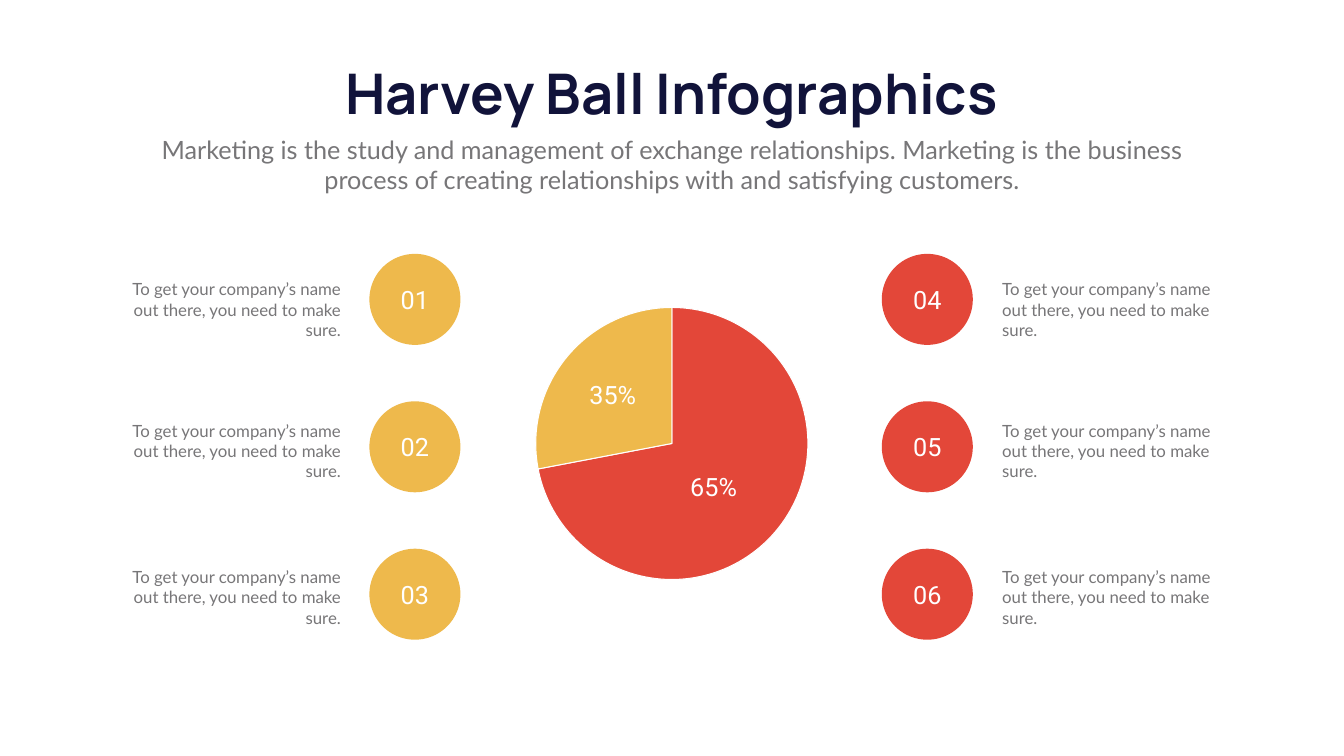
from lxml import etree
from pptx import Presentation
from pptx import util as u
from pptx.chart import data
from pptx.dml import color
from pptx.enum import chart as charts, shapes, text
from pptx.oxml import ns

NAVY, GREY, WHITE = "11133A", "777678", "FFFFFF"
YELLOW, RED = "EEB94C", "E34739"
CAPTION = "To get your company’s name out there, you need to make sure."
LEFT, CENTER, RIGHT = text.PP_ALIGN.LEFT, text.PP_ALIGN.CENTER, text.PP_ALIGN.RIGHT


def rgb(code):
    return color.RGBColor.from_string(code)


class Builder:
    """Holds the slide and draws styled elements; lengths are in points."""

    def __init__(self, slide):
        self.slide = slide

    def place(self, box, left, top, width, height):
        box.left, box.top = u.Pt(left), u.Pt(top)
        box.width, box.height = u.Pt(width), u.Pt(height)

    def set_words(self, box, words, font, size, ink, align=CENTER, bold=False,
                  anchor=text.MSO_ANCHOR.TOP, wrap=True):
        frame = box.text_frame
        frame.word_wrap = wrap
        frame.auto_size = text.MSO_AUTO_SIZE.NONE
        frame.vertical_anchor = anchor
        para = frame.paragraphs[0]
        para.text = words
        para.alignment = align
        para.space_before = u.Pt(0)
        para.font.name, para.font.size = font, u.Pt(size)
        para.font.bold = bold
        para.font.color.rgb = rgb(ink)

    def placeholder(self, index, at, words, **style):
        box = self.slide.placeholders[index]
        self.place(box, *at)
        self.set_words(box, words, **style)

    def label(self, at, words, **style):
        box = self.slide.shapes.add_textbox(*map(u.Pt, at))
        self.set_words(box, words, **style)

    def ball(self, center_x, center_y, size, fill, words):
        at = center_x - size / 2, center_y - size / 2, size, size
        ball = self.slide.shapes.add_shape(shapes.MSO_SHAPE.OVAL, *map(u.Pt, at))
        ball.shadow.inherit = False
        ball.fill.solid()
        ball.fill.fore_color.rgb = rgb(fill)
        ball.line.fill.background()
        self.set_words(ball, words, "Roboto", 36, WHITE, anchor=text.MSO_ANCHOR.MIDDLE)

    def pie(self, at, values, fills):
        source = data.CategoryChartData()
        source.categories = [str(i + 1) for i in range(len(values))]
        source.add_series("Series 1", values)
        chart = self.slide.shapes.add_chart(
            charts.XL_CHART_TYPE.PIE, *map(u.Pt, at), source).chart
        chart.has_title = chart.has_legend = False
        chart.font.name, chart.font.size = "Calibri", u.Pt(10)
        chart.font.color.rgb = rgb(GREY)
        plot = chart.plots[0]
        plot.vary_by_categories = True
        for i, fill in enumerate(fills):
            point = plot.series[0].points[i].format
            point.fill.solid()
            point.fill.fore_color.rgb = rgb(fill)
            point.line.color.rgb = rgb(WHITE)
            point.line.width = u.Pt(1.5)
        # Fixed plot area, centred in the chart frame
        area = chart.element.find(".//" + ns.qn("c:plotArea"))
        for old in area.findall(ns.qn("c:layout")):
            area.remove(old)
        layout = etree.Element(ns.qn("c:layout"))
        manual = etree.SubElement(layout, ns.qn("c:manualLayout"))
        width, height = 0.63, 0.95
        for tag, value in (("layoutTarget", "inner"), ("xMode", "edge"), ("yMode", "edge"),
                           ("x", (1 - width) / 2), ("y", (1 - height) / 2),
                           ("w", width), ("h", height)):
            etree.SubElement(manual, ns.qn("c:" + tag)).set("val", str(value))
        area.insert(0, layout)


def main():
    deck = Presentation()
    deck.slide_width, deck.slide_height = u.Pt(1919.52), u.Pt(1080)
    page = Builder(deck.slides.add_slide(deck.slide_layouts[0]))

    # Heading
    page.placeholder(0, (442, 80.6, 1034.6, 104.4), "Harvey Ball Infographics",
                     font="Manrope", size=80, ink=NAVY, bold=True, wrap=False)
    page.placeholder(1, (210.2, 188, 1499, 94.3),
                     "Marketing is the study and management of exchange relationships. "
                     "Marketing is the business process of creating relationships with "
                     "and satisfying customers.", font="Lato", size=36, ink=GREY)

    # Pie with its percentages
    page.pie((651, 427.7, 617, 411.8), (72, 28), (RED, YELLOW))
    for words, left, top in (("65%", 967.7, 669.6), ("35%", 823.7, 537.8)):
        page.label((left, top, 103, 51), words, font="Roboto", size=36, ink=WHITE)

    # Numbered balls with captions, one column on each side
    columns = ((592.6, YELLOW, 148.3, RIGHT), (1324.4, RED, 1424.2, LEFT))
    caption_tops = (395.3, 596.9, 806.4)
    for column, (center_x, fill, caption_left, align) in enumerate(columns):
        for row, caption_top in enumerate(caption_tops):
            number = column * len(caption_tops) + row + 1
            page.ball(center_x, 427.7 + row * 210.6, 130, fill, f"{number:02}")
            page.label((caption_left, caption_top, 345.6, 65.5), CAPTION,
                       font="Lato", size=24, ink=GREY, align=align)

    deck.save("out.pptx")


if __name__ == "__main__":
    main()
